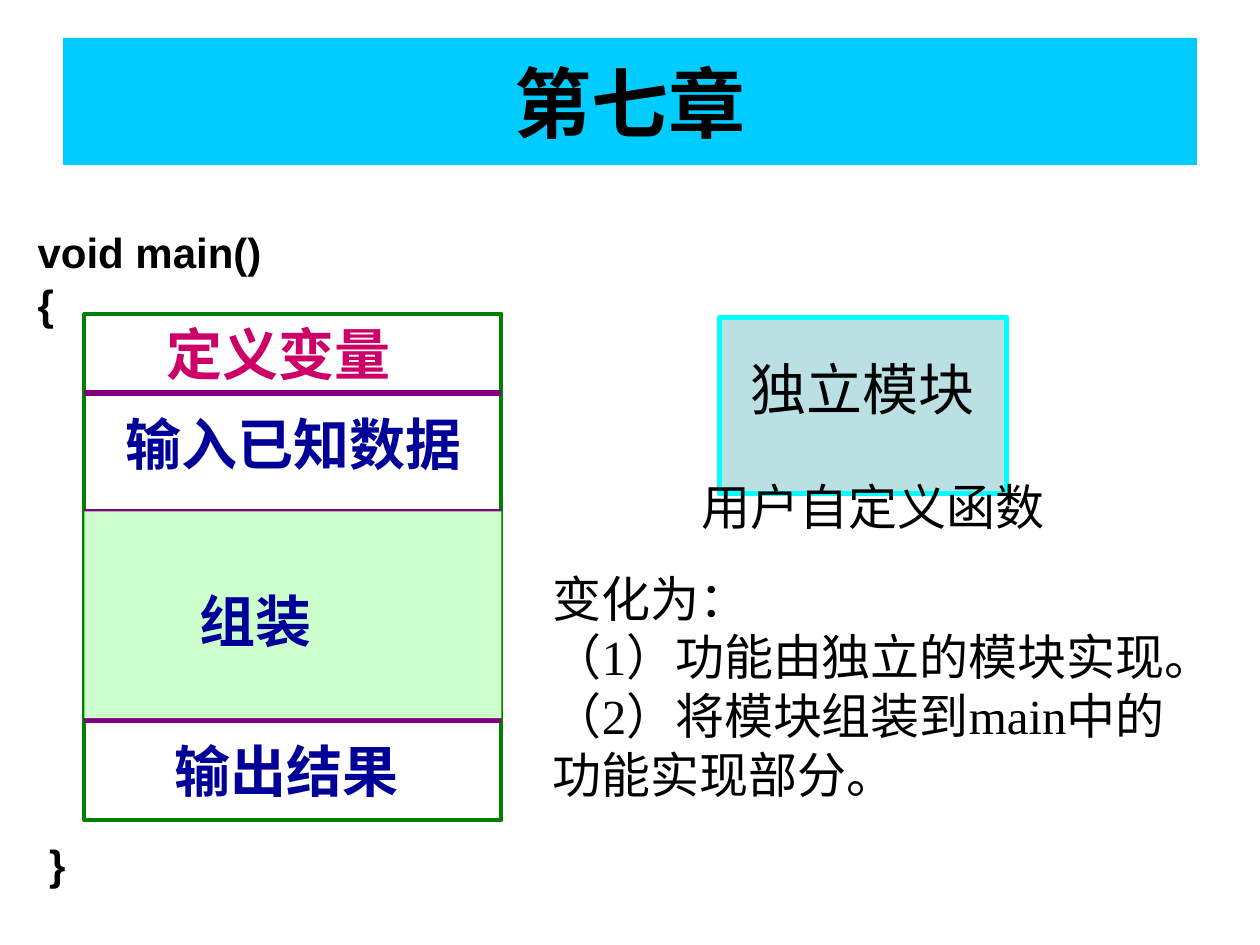
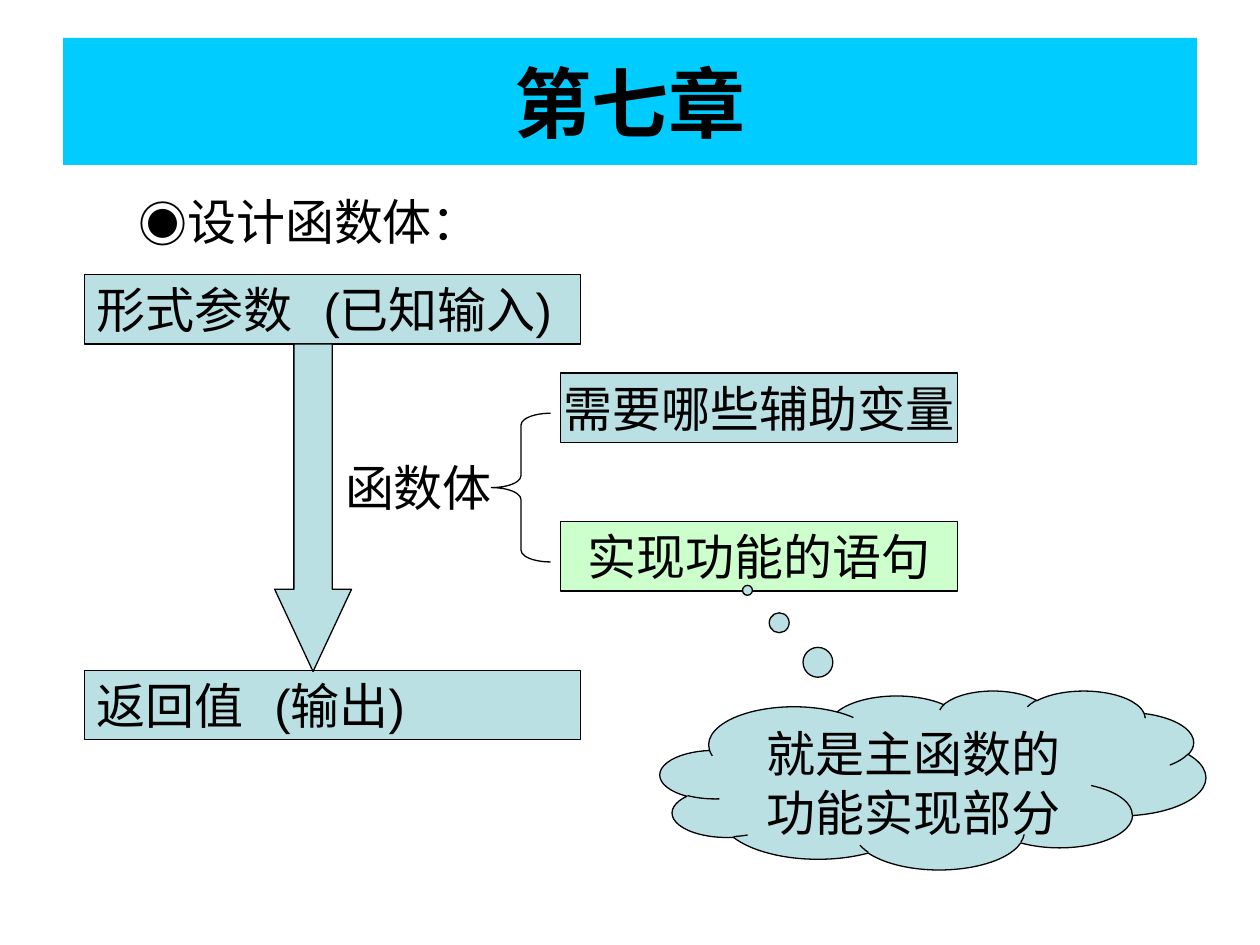
"""Build two chapter-seven slides on modules and function bodies."""
from dataclasses import dataclass, field

from lxml import etree
from pptx import Presentation
from pptx import util as u
from pptx.dml import color
from pptx.enum import shapes, text
from pptx.oxml import ns

PX = 9144
BLACK, CYAN, PALE, GREEN, NAVY = "000000", "00CCFF", "BBE0E3", "CCFFCC", "000099"
SERIF, SANS, CJK = "Times New Roman", "Arial", "Noto Sans CJK SC"
LEFT, CENTER = text.PP_ALIGN.LEFT, text.PP_ALIGN.CENTER
TOP, MIDDLE = text.MSO_ANCHOR.TOP, text.MSO_ANCHOR.MIDDLE
KIND = shapes.MSO_SHAPE
TITLE_BOX = (50, 30, 900, 101)


@dataclass
class Style:
    """Text format: font values plus paragraph and frame values."""
    size: int = 28
    name: str = SERIF
    bold: bool = False
    hex: str = BLACK
    align: text.PP_ALIGN = LEFT
    anchor: text.MSO_ANCHOR = TOP
    wrap: bool = False
    insets: tuple[int, int, int, int] = (10, 5, 10, 5)
    before: tuple[int, ...] = ()
    tab: int = 0
    bullet: str = ""


@dataclass
class Item:
    """A shape or, without a kind, a text box."""
    box: tuple[int, int, int, int]
    lines: tuple[str, ...] = ()
    style: Style = field(default_factory=Style)
    kind: KIND | None = None
    fill: str = ""
    line: str = ""
    width: float = 0.75
    adj: tuple[float, ...] = ()


def px(*values: int) -> list[int]:
    """Turn pixels into EMU."""
    return [u.Emu(v * PX) for v in values]


def rgb(value: str) -> color.RGBColor:
    """Turn a hex string into a colour."""
    return color.RGBColor.from_string(value)


def assign(obj, values: dict) -> None:
    """Set attributes from a dict of format values."""
    for key, value in values.items():
        setattr(obj, key, value)


def add_child(parent, tag: str, **attrs: str):
    """Append a DrawingML element."""
    return etree.SubElement(parent, ns.qn(tag), attrs)


def write(tf, lines: tuple[str, ...], style: Style) -> None:
    """Fill a text frame with formatted paragraphs."""
    sides = ("margin_left", "margin_top", "margin_right", "margin_bottom")
    assign(tf, {"auto_size": text.MSO_AUTO_SIZE.NONE, "word_wrap": style.wrap,
                "vertical_anchor": style.anchor, **dict(zip(sides, px(*style.insets)))})
    for i, line in enumerate(lines):
        p = tf.add_paragraph() if i else tf.paragraphs[0]
        p.alignment = style.align
        pr = p._p.get_or_add_pPr()
        if style.bullet:
            pr.set("marL", str(81 * PX))
            pr.set("indent", str(-31 * PX))
            add_child(pr, "a:buFont", typeface=CJK)
            add_child(pr, "a:buChar", char=style.bullet)
        if style.tab:
            add_child(add_child(pr, "a:tabLst"), "a:tab", pos=str(style.tab * PX), algn="l")
        if style.before:
            p.space_before = u.Pt(style.before[i])
        r = p.add_run()
        r.text = line
        assign(r.font, {"size": u.Pt(style.size), "name": style.name, "bold": style.bold})
        r.font.color.rgb = rgb(style.hex)
        add_child(r._r.get_or_add_rPr(), "a:ea", typeface=CJK)


def paint(s, fill: str, line: str, width: float) -> None:
    """Set the fill and outline of a shape."""
    if fill:
        s.fill.solid()
        s.fill.fore_color.rgb = rgb(fill)
    else:
        s.fill.background()
    if line:
        s.line.color.rgb = rgb(line)
        s.line.width = u.Pt(width)
    else:
        s.line.fill.background()


def draw(sp, item: Item) -> None:
    """Draw one item on a shape tree."""
    if item.kind is None:
        s = sp.add_textbox(*px(*item.box))
    else:
        s = sp.add_shape(item.kind, *px(*item.box))
        s.shadow.inherit = False
        paint(s, item.fill, item.line, item.width)
        for i, value in enumerate(item.adj):
            s.adjustments[i] = value
    if item.lines:
        write(s.text_frame, item.lines, item.style)


def draw_rule(sp, x1: int, x2: int, y: int) -> None:
    """Draw a purple dividing line."""
    c = sp.add_connector(shapes.MSO_CONNECTOR.STRAIGHT, *px(x1, y, x2, y))
    c.line.color.rgb = rgb("800080")
    c.line.width = u.Pt(3)
    add_child(c._element.spPr, "a:effectLst")


def add_slide(prs):
    """Add a slide with the chapter title band and return its shapes."""
    sp = prs.slides.add_slide(prs.slide_layouts[5]).shapes
    title = sp.title
    assign(title, dict(zip(("left", "top", "width", "height"), px(*TITLE_BOX))))
    paint(title, CYAN, "", 0)
    write(title.text_frame, ("第七章",),
          Style(44, SANS, True, align=CENTER, anchor=MIDDLE, wrap=True))
    return sp


def build_assembly(prs) -> None:
    """Show main() assembled from independent modules."""
    sp = add_slide(prs)
    code = Style(24, SANS, True, wrap=True, insets=(10, 49, 10, 5), before=(0, 1, 291))
    step = Style(32, bold=True, hex=NAVY)
    draw(sp, Item((20, 131, 967, 598), ("void main()", "{", " }"), code))
    draw(sp, Item((67, 249, 331, 402), kind=KIND.RECTANGLE, line="008000", width=2.25))
    for y in (312, 406, 572):
        draw_rule(sp, 67, 398, y)
    module = Style(32, align=CENTER, anchor=MIDDLE, wrap=True, insets=(10, 5, 10, 33))
    assembly = Style(32, bold=True, hex=NAVY, anchor=MIDDLE, wrap=True, insets=(91, 13, 10, 5))
    changes = ("变化为：", "（1）功能由独立的模块实现。",
               "（2）将模块组装到main中的功能实现部分。")
    for item in (
        Item((122, 249, 198, 64), ("定义变量",), Style(32, bold=True, hex="CC0066")),
        Item((90, 320, 287, 64), ("输入已知数据",), step),
        Item((129, 580, 198, 64), ("输出结果",), step),
        Item((571, 252, 228, 140), ("独立模块",), module, KIND.RECTANGLE, PALE, "00FFFF", 3),
        Item((547, 373, 292, 57), ("用户自定义函数",)),
        Item((67, 406, 331, 164), ("组装",), assembly, KIND.RECTANGLE, GREEN),
        Item((429, 446, 543, 197), changes, Style(wrap=True)),
    ):
        draw(sp, item)


def build_body_design(prs) -> None:
    """Show how a function body leads from parameters to a result."""
    sp = add_slide(prs)
    heading = Style(name=CJK, wrap=True, bullet="◉")
    part = Style(name=SANS, align=CENTER, anchor=MIDDLE)
    cloud = Style(name=SANS, align=CENTER, wrap=True)
    draw(sp, Item((50, 147, 923, 583), ("设计函数体：",), heading))
    for y, label, tab in ((218, "形式参数\t(已知输入)", 180), (532, "返回值\t(输出)", 141)):
        end = Style(name=SANS, anchor=MIDDLE, tab=tab)
        draw(sp, Item((67, y, 394, 55), (label,), end, KIND.RECTANGLE, PALE, BLACK))
    for y, label, fill in ((296, "需要哪些辅助变量", PALE), (414, "实现功能的语句", GREEN)):
        draw(sp, Item((445, y, 315, 55), (label,), part, KIND.RECTANGLE, fill, BLACK))
    for item in (
        Item((218, 273, 61, 260), kind=KIND.DOWN_ARROW, fill=PALE, line=BLACK, adj=(0.5, 1.07)),
        Item((264, 358, 136, 57), ("函数体",), Style(name=SANS)),
        Item((390, 328, 47, 118), kind=KIND.LEFT_BRACE, line=BLACK, adj=(0.2, 0.5)),
        Item((524, 548, 433, 142), ("就是主函数的功能实现部分",), cloud,
             KIND.CLOUD_CALLOUT, PALE, BLACK, adj=(-0.34, -1.06)),
    ):
        draw(sp, item)


def main() -> None:
    """Build and save the presentation."""
    prs = Presentation()
    prs.slide_width, prs.slide_height = px(1000, 750)
    build_assembly(prs)
    build_body_design(prs)
    prs.save("out.pptx")


if __name__ == "__main__":
    main()
